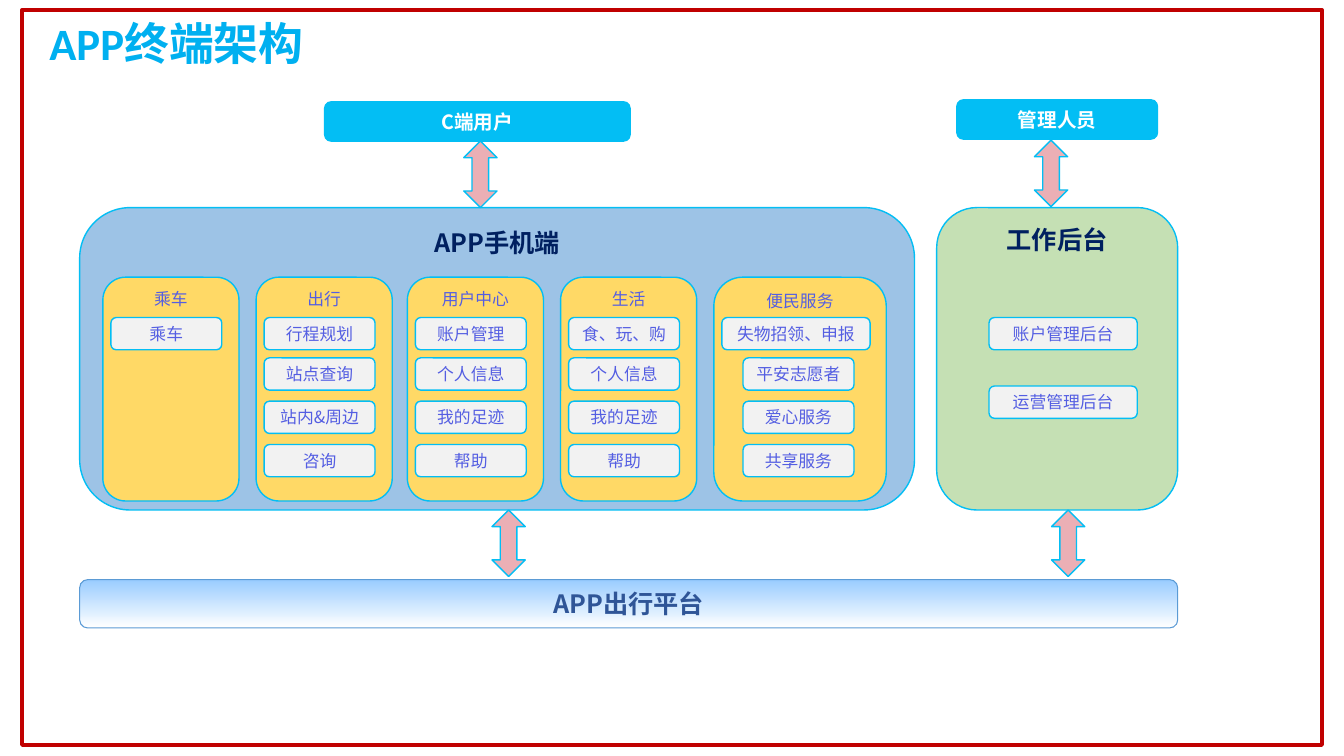
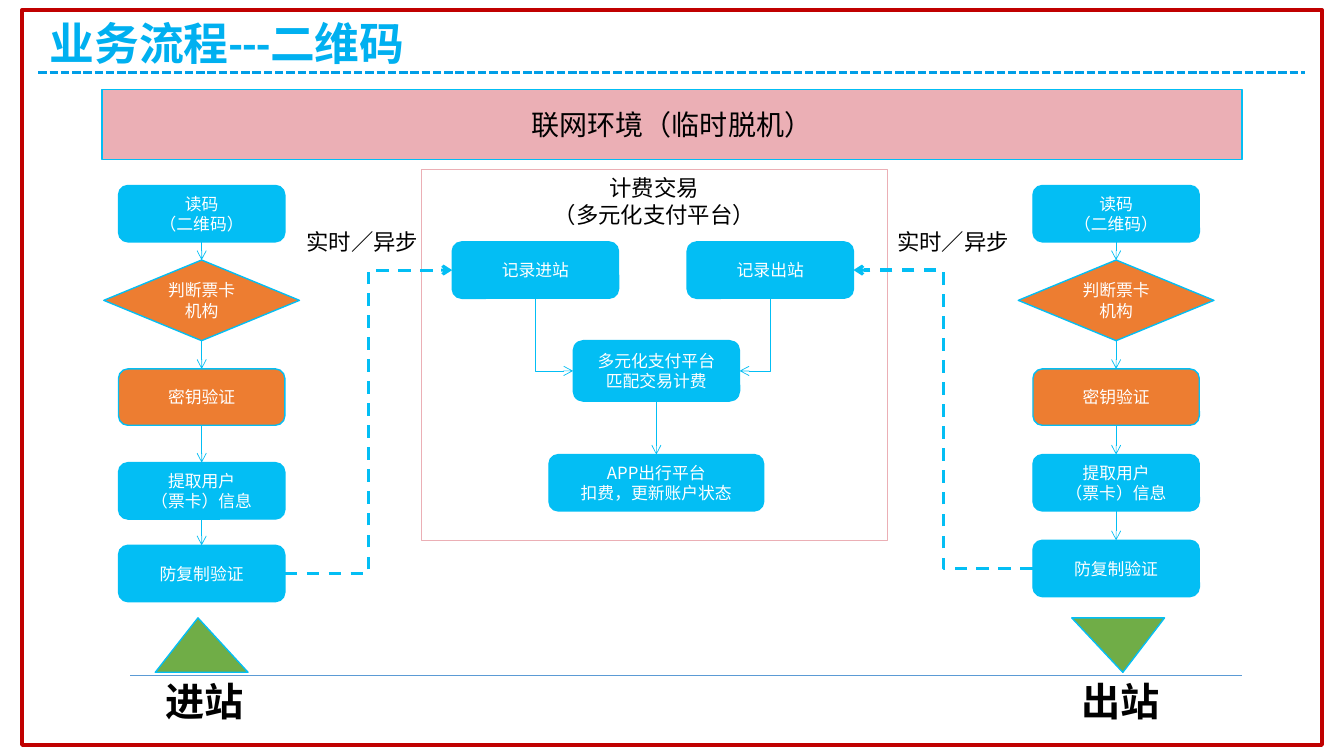
"""Build two slides: the app structure and the QR code process."""
from dataclasses import dataclass

from lxml import etree
from pptx import Presentation
from pptx.dml.color import RGBColor
from pptx.enum.dml import MSO_LINE
from pptx.enum.shapes import MSO_CONNECTOR, MSO_SHAPE
from pptx.enum.text import MSO_ANCHOR, PP_ALIGN
from pptx.oxml.ns import qn
from pptx.shapes.autoshape import Shape
from pptx.shapes.connector import Connector
from pptx.slide import Slide
from pptx.util import Inches, Pt

ROUND, RECT = MSO_SHAPE.ROUNDED_RECTANGLE, MSO_SHAPE.RECTANGLE
DIAMOND = MSO_SHAPE.FLOWCHART_DECISION
ARROW, PEAK = MSO_SHAPE.UP_DOWN_ARROW, MSO_SHAPE.ISOSCELES_TRIANGLE
PLAIN, ELBOW = MSO_CONNECTOR.STRAIGHT, MSO_CONNECTOR.ELBOW
DASH, DOTS = MSO_LINE.DASH, MSO_LINE.SQUARE_DOT
TOP, MIDDLE = MSO_ANCHOR.TOP, MSO_ANCHOR.MIDDLE
CENTER = PP_ALIGN.CENTER
NORTH, WEST, SOUTH, EAST = range(4)

HAN, LATIN = "Noto Sans CJK SC", "Calibri"
COLORS = {
    "cyan": "03BEF4", "title": "00B0F0", "rule": "009EE7", "red": "C00000",
    "blue": "9DC3E6", "gold": "FFD966", "mint": "C5E0B4", "pink": "EBAFB5",
    "grey": "F2F2F2", "violet": "545EE2", "navy": "002060", "ink": "2F5597",
    "edge": "5B9BD5", "sky": "99CCFF", "orange": "ED7D31", "green": "70AD47",
    "white": "FFFFFF", "black": "000000",
}


@dataclass(frozen=True)
class Style:
    """Look of a shape and its text."""

    fill: str | None
    color: str = "white"
    size: float = 12
    bold: bool = False
    font: str = HAN
    anchor: MSO_ANCHOR = MIDDLE
    line: str = "cyan"
    weight: float = 1


@dataclass(frozen=True)
class Column:
    """One group of app functions."""

    name: str
    left: float
    items: tuple[str, ...]
    width: float = 1.35
    lead: float = 1.1
    pad: float = 0.08


@dataclass(frozen=True)
class Lane:
    """One gate with its chain of checks."""

    name: str
    mid: float
    pull: float
    copy: float
    label: float
    mark: float
    tip: float
    turn: int


PHONE = Style("blue", "navy", 18, True, anchor=TOP)
OFFICE = Style("mint", "navy", 18, True, anchor=TOP)
GROUP = Style("gold", "violet", anchor=TOP)
CHIP = Style("grey", "violet")
USER = Style("cyan", size=14, bold=True)
BASE = Style("sky", "ink", 18, True, line="edge", weight=0.75)
SWAP = Style("pink")
FRAME = Style(None, line="red", weight=3)
BANNER = Style("pink", "black", 20)
BILL = Style(None, "black", 16, anchor=TOP, line="pink")
STEP, CHECK, MARK = Style("cyan"), Style("orange"), Style("green")
TITLE = Style(None, "title", 32, True, LATIN)
GATE = Style(None, "black", 28, True, LATIN)
NOTE = Style(None, "black", 16, font=LATIN)

COLUMNS = (
    Column("乘车", 1.02, ("乘车",)),
    Column("出行", 2.54, ("行程规划", "站点查询", "站内&周边", "咨询")),
    Column("用户中心", 4.04, ("账户管理", "个人信息", "我的足迹", "帮助")),
    Column("生活", 5.56, ("食、玩、购", "个人信息", "我的足迹", "帮助")),
    Column("便民服务", 7.08, ("失物招领、申报", "平安志愿者", "爱心服务", "共享服务"),
           1.71, 1.47, 0.29),
)
ROWS = (3.15, 3.55, 3.98, 4.41)
SWAPS = ((4.6, 1.4), (10.26, 1.39), (4.88, 5.06), (10.43, 5.06))
LANES = (
    Lane("进站", 2, 4.59, 5.41, 2.94, 1.54, 0.46, 0),
    Lane("出站", 11.07, 4.51, 5.36, 8.8, 10.63, 0.45, 180),
)


def tint(name: str) -> RGBColor:
    """Return the named colour."""
    return RGBColor.from_string(COLORS[name])


def write(shape: Shape, text: str, style: Style) -> None:
    """Put styled text in a shape."""
    shape.text_frame.text = text
    form = {"name": style.font, "size": Pt(style.size), "bold": style.bold}
    for para in shape.text_frame.paragraphs:
        for run in para.runs:
            for key, value in form.items():
                setattr(run.font, key, value)
            run.font.color.rgb = tint(style.color)
            east = etree.SubElement(run._r.get_or_add_rPr(), qn("a:ea"))
            east.set("typeface", HAN)


def inset(shape: Shape) -> None:
    """Use the narrow text margins."""
    margins = {"left": 0.05, "top": 0.03, "right": 0.05, "bottom": 0.03}
    for side, value in margins.items():
        setattr(shape.text_frame, f"margin_{side}", Inches(value))


def draw(slide: Slide, kind: MSO_SHAPE, left: float, top: float, width: float,
         height: float, style: Style, text: str = "") -> Shape:
    """Add a preset shape with centred text."""
    shape = slide.shapes.add_shape(
        kind, Inches(left), Inches(top), Inches(width), Inches(height))
    shape.shadow.inherit = False
    if style.fill:
        shape.fill.solid()
        shape.fill.fore_color.rgb = tint(style.fill)
    else:
        shape.fill.background()
    shape.line.color.rgb = tint(style.line)
    shape.line.width = Pt(style.weight)
    if text:
        write(shape, text, style)
        shape.text_frame.vertical_anchor = style.anchor
        for para in shape.text_frame.paragraphs:
            para.alignment = CENTER
    return shape


def label(slide: Slide, left: float, top: float, width: float, height: float,
          style: Style, text: str, wrap: bool = False) -> Shape:
    """Add a text box."""
    box = slide.shapes.add_textbox(
        Inches(left), Inches(top), Inches(width), Inches(height))
    box.text_frame.word_wrap = wrap
    write(box, text, style)
    return box


def stroke(line: Connector, color: str, weight: float,
           dash: MSO_LINE | None = None, end: str = "") -> None:
    """Style a connector, with an open arrow at the named end."""
    line.line.color.rgb = tint(color)
    line.line.width = Pt(weight)
    if dash:
        line.line.dash_style = dash
    if end:
        etree.SubElement(line.get_or_add_ln(), qn(f"a:{end}")).set("type", "arrow")
    etree.SubElement(line._element.spPr, qn("a:effectLst"))


def rule(slide: Slide, left: float, right: float, top: float, color: str,
         weight: float, dash: MSO_LINE | None = None) -> None:
    """Add a level line."""
    line = slide.shapes.add_connector(
        PLAIN, Inches(left), Inches(top), Inches(right), Inches(top))
    stroke(line, color, weight, dash)


def join(slide: Slide, kind: MSO_CONNECTOR, start: Shape, out: int,
         goal: Shape, into: int) -> Connector:
    """Join the sides of two shapes."""
    line = slide.shapes.add_connector(kind, 0, 0, 0, 0)
    line.begin_connect(start, out)
    line.end_connect(goal, into)
    return line


def begin(deck: Presentation, title: str) -> Slide:
    """Add a blank slide with its title."""
    slide = deck.slides.add_slide(deck.slide_layouts[6])
    box = label(slide, 0.44, 0.19, 12.46, 0.58, TITLE, title, True)
    inset(box)
    box.text_frame.paragraphs[0].line_spacing = 0.9
    return slide


def finish(slide: Slide) -> None:
    """Add the red frame."""
    draw(slide, RECT, 0.22, 0.1, 12.89, 7.29, FRAME)


def chip(slide: Slide, left: float, top: float, width: float, text: str) -> None:
    """Add one function chip."""
    draw(slide, ROUND, left, top, width, 0.32, CHIP, text)


def build_app(deck: Presentation) -> None:
    """Draw the app structure."""
    slide = begin(deck, "APP终端架构")
    draw(slide, ROUND, 0.79, 2.06, 8.28, 3, PHONE, "APP手机端")
    for col in COLUMNS:
        draw(slide, ROUND, col.left, 2.75, col.width, 2.22, GROUP, col.name)
        for row, (top, item) in enumerate(zip(ROWS, col.items)):
            pad, width = (col.pad, 1.1) if row else (0.08, col.lead)
            chip(slide, col.left + pad, top, width, item)
    draw(slide, ROUND, 9.29, 2.06, 2.39, 3, OFFICE, "工作后台")
    for top, item in ((3.15, "账户管理后台"), (3.83, "运营管理后台")):
        chip(slide, 9.81, top, 1.47, item)
    draw(slide, ROUND, 3.22, 1.01, 3.03, 0.39, USER, "C端用户")
    draw(slide, ROUND, 9.49, 0.99, 1.99, 0.39, USER, "管理人员")
    base = draw(slide, ROUND, 0.79, 5.75, 10.89, 0.48, BASE, "APP出行平台")
    inset(base)
    base.fill.gradient()
    base.fill.gradient_angle = 270
    for place, (stop, color) in enumerate(
            zip(base.fill.gradient_stops, ("sky", "white"))):
        stop.position = place
        stop.color.rgb = tint(color)
    for left, top in SWAPS:
        draw(slide, ARROW, left, top, 0.33, 0.66, SWAP)
    finish(slide)


def step(slide: Slide, mid: float, top: float, text: str, style: Style = STEP,
         width: float = 1.65, height: float = 0.56,
         kind: MSO_SHAPE = ROUND) -> Shape:
    """Add a process step centred on mid."""
    return draw(slide, kind, mid - width / 2, top, width, height, style, text)


def chain(slide: Slide, lane: Lane) -> Shape:
    """Draw a lane and return its last step."""
    steps = (
        step(slide, lane.mid, 1.84, "读码\n（二维码）"),
        step(slide, lane.mid, 2.58, "判断票卡机构", CHECK, 1.94, 0.8, DIAMOND),
        step(slide, lane.mid, 3.66, "密钥验证", CHECK),
        step(slide, lane.mid, lane.pull, "提取用户\n（票卡）信息"),
        step(slide, lane.mid, lane.copy, "防复制验证"),
    )
    for start, goal in zip(steps, steps[1:]):
        stroke(join(slide, PLAIN, start, SOUTH, goal, NORTH), "cyan", 0.5, end="tailEnd")
    mark = draw(slide, PEAK, lane.mark, 6.13, 0.92, 0.54, MARK)
    mark.adjustments[0] = lane.tip
    mark.rotation = lane.turn
    label(slide, lane.mark, 6.67, 0.99, 0.57, GATE, lane.name)
    label(slide, lane.label, 2.21, 1.32, 0.37, NOTE, "实时／异步")
    return steps[-1]


def build_flow(deck: Presentation) -> None:
    """Draw the QR code process."""
    slide = begin(deck, "业务流程---二维码")
    rule(slide, 0.38, 12.94, 0.72, "rule", 2, DOTS)
    draw(slide, RECT, 1.01, 0.89, 11.31, 0.69, BANNER, "联网环境（临时脱机）")
    rule(slide, 1.29, 12.32, 6.7, "edge", 0.5)
    draw(slide, RECT, 4.18, 1.68, 4.62, 3.68, BILL, "计费交易\n（多元化支付平台）")
    hub = step(slide, 6.51, 3.38, "多元化支付平台\n匹配交易计费", height=0.6)
    charge = step(slide, 6.51, 4.51, "APP出行平台\n扣费，更新账户状态", width=2.13)
    stroke(join(slide, PLAIN, hub, SOUTH, charge, NORTH), "cyan", 0.5, end="tailEnd")
    for lane, mid, near, far in zip(LANES, (5.31, 7.64), (WEST, EAST), (EAST, WEST)):
        last = chain(slide, lane)
        log = step(slide, mid, 2.4, f"记录{lane.name}")
        stroke(join(slide, ELBOW, last, far, log, near), "cyan", 2.25, DASH, "tailEnd")
        bend = join(slide, ELBOW, hub, near, log, SOUTH)
        bend._element.spPr.find(qn("a:prstGeom")).set("prst", "bentConnector2")
        stroke(bend, "cyan", 0.5, end="headEnd")
    finish(slide)


def main() -> None:
    """Build and save the deck."""
    deck = Presentation()
    deck.slide_width, deck.slide_height = Inches(13.33), Inches(7.5)
    build_app(deck)
    build_flow(deck)
    deck.save("out.pptx")


if __name__ == "__main__":
    main()
